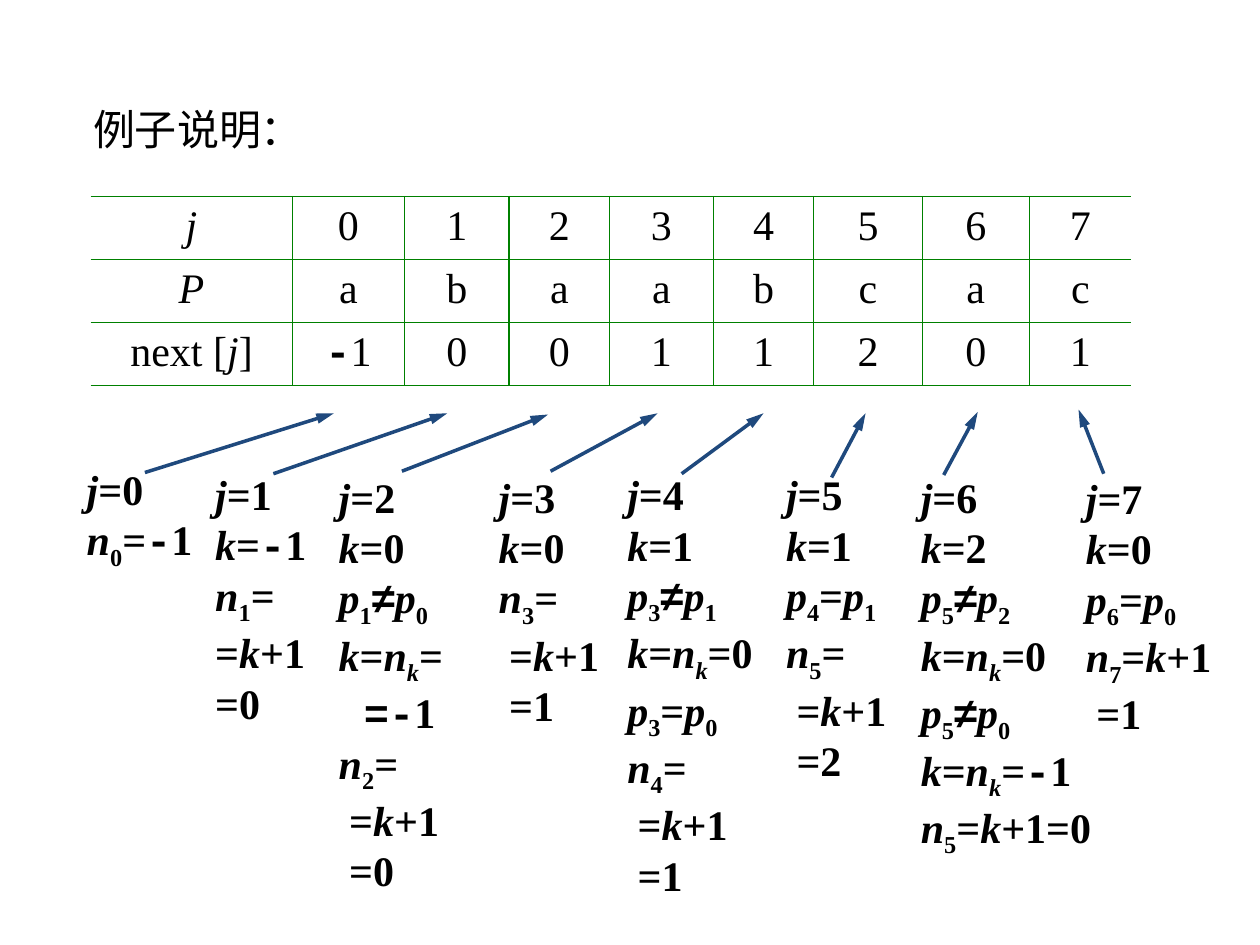
from itertools import groupby

from lxml.etree import SubElement
from pptx import Presentation
from pptx.dml.color import RGBColor
from pptx.enum.shapes import MSO_CONNECTOR as Link
from pptx.enum.text import MSO_AUTO_SIZE as Fit, PP_ALIGN as Align
from pptx.oxml import parse_xml
from pptx.oxml.ns import nsdecls, qn
from pptx.util import Inches, Pt

BLACK = RGBColor(0, 0, 0)
GREEN = RGBColor(0, 0x80, 0)
NAVY = RGBColor(0x1F, 0x49, 0x7D)
SERIF, MONO, SANS = "Times New Roman", "Courier New", "Arial"
LOWER, FIXED = "_", "~"
SIZE = Pt(24)

TITLE = "例子说明："
ROWS = [
    ["j", "0", "1", "2", "3", "4", "5", "6", "7"],
    ["P", "a", "b", "a", "a", "b", "c", "a", "c"],
    ["next [j]", "~-1", "0", "0", "1", "1", "2", "0", "1"],
]
COLS = [1.6, 0.89, 0.83, 0.8, 0.82, 0.8, 0.86, 0.85, 0.81]
ROW = 0.5

STEPS = [
    (0.59, 3.63, 1.07, 0.96, ["j=0", "n_0=~-1"]),
    (1.61, 3.67, 0.95, 2.16, ["j=1", "k=~-1", "n_1=", "=k+1", "=0"]),
    (2.59, 3.69, 1.06, 3.47, ["j=2", "k=0", "p_1≠p_0", "k=n_k=", "~ ~=~-1",
                              "n_2=", " =k+1", " =0"]),
    (3.86, 3.69, 1.02, 2.16, ["j=3", "k=0", "n_3=", " =k+1", " =1"]),
    (4.88, 3.67, 1.22, 3.52, ["j=4", "k=1", "p_3≠p_1", "k=n_k=0", "p_3=p_0",
                              "n_4=", " =k+1", " =1"]),
    (6.14, 3.67, 1.02, 2.61, ["j=5", "k=1", "p_4=p_1", "n_5=", " =k+1", " =2"]),
    (7.21, 3.69, 1.58, 3.18, ["j=6", "k=2", "p_5≠p_2", "k=n_k=0", "p_5≠p_0",
                              "k=n_k=~-1", "n_5=k+1=0"]),
    (8.52, 3.7, 1.22, 2.21, ["j=7", "k=0", "p_6=p_0", "n_7=k+1", " =1"]),
]
ARROWS = [
    (1.15, 3.75, 2.65, 3.28), (2.17, 3.76, 3.55, 3.28),
    (3.19, 3.74, 4.35, 3.29), (4.37, 3.74, 5.22, 3.28),
    (5.41, 3.76, 6.06, 3.28), (6.6, 3.79, 6.87, 3.28),
    (7.49, 3.77, 7.76, 3.27), (8.76, 3.76, 8.56, 3.25),
]


def parts(text, slant):
    marks, mark = [], ""
    for char in text:
        if char in (LOWER, FIXED):
            mark = char
            continue
        face = MONO if mark == FIXED else SANS if char == "≠" else SERIF
        marks.append((char, (face, char in slant, mark == LOWER)))
        mark = ""
    for style, group in groupby(marks, key=lambda pair: pair[1]):
        yield "".join(char for char, _ in group), style


def write(para, text, slant, bold):
    for words, (face, italic, low) in parts(text, slant):
        run = para.add_run()
        run.text = words
        font = run.font
        font.name, font.size, font.italic = face, SIZE, italic
        font.bold = bold or face == MONO
        font.color.rgb = BLACK
        if low:
            font._rPr.set("baseline", "-25000")


def border(cell, sides):
    props = cell._tc.get_or_add_tcPr()
    for i, side in enumerate("LRTB"):
        fill = (f'<a:solidFill><a:srgbClr val="{GREEN}"/></a:solidFill>'
                if side in sides else "<a:noFill/>")
        props.insert(i, parse_xml(
            f'<a:ln{side} {nsdecls("a")} w="{Pt(0.75)}">{fill}</a:ln{side}>'))


def add_title(slide):
    box = slide.shapes.add_textbox(*map(Inches, (0.64, 0.77, 8.67, 0.74)))
    frame = box.text_frame
    frame.word_wrap = True
    frame.text = TITLE
    font = frame.paragraphs[0].runs[0].font
    font.name, font.size = "Calibri", SIZE
    font.color.rgb = BLACK


def add_grid(slide):
    last = len(COLS) - 1
    area = (0.72, 1.56, sum(COLS), ROW * len(ROWS))
    table = slide.shapes.add_table(
        len(ROWS), len(COLS), *map(Inches, area)).table
    table.first_row = table.horz_banding = False
    for col, width in zip(table.columns, COLS):
        col.width = Inches(width)
    for r, row in enumerate(ROWS):
        table.rows[r].height = Inches(ROW)
        for c, text in enumerate(row):
            cell = table.cell(r, c)
            cell.fill.background()
            border(cell, "TB" + "L" * (c > 0) + "R" * (c < last))
            para = cell.text_frame.paragraphs[0]
            para.alignment = Align.CENTER
            write(para, text, "jP", False)


def add_step(slide, left, top, width, height, lines):
    box = slide.shapes.add_textbox(*map(Inches, (left, top, width, height)))
    frame = box.text_frame
    frame.word_wrap = False
    frame.auto_size = Fit.SHAPE_TO_FIT_TEXT
    for i, text in enumerate(lines):
        para = frame.add_paragraph() if i else frame.paragraphs[0]
        write(para, text, "jknp", True)


def add_arrow(slide, ends):
    arrow = slide.shapes.add_connector(Link.STRAIGHT, *map(Inches, ends))
    arrow.line.color.rgb = NAVY
    arrow.line.width = Pt(2)
    SubElement(arrow.line._get_or_add_ln(), qn("a:tailEnd"),
               type="triangle", w="med", len="lg")
    SubElement(arrow._element.spPr, qn("a:effectLst"))


def main():
    deck = Presentation()
    deck.slide_width, deck.slide_height = Inches(10), Inches(7.5)
    slide = deck.slides.add_slide(deck.slide_layouts[6])
    add_title(slide)
    add_grid(slide)
    for step in STEPS:
        add_step(slide, *step)
    for ends in ARROWS:
        add_arrow(slide, ends)
    deck.save("out.pptx")


if __name__ == "__main__":
    main()
